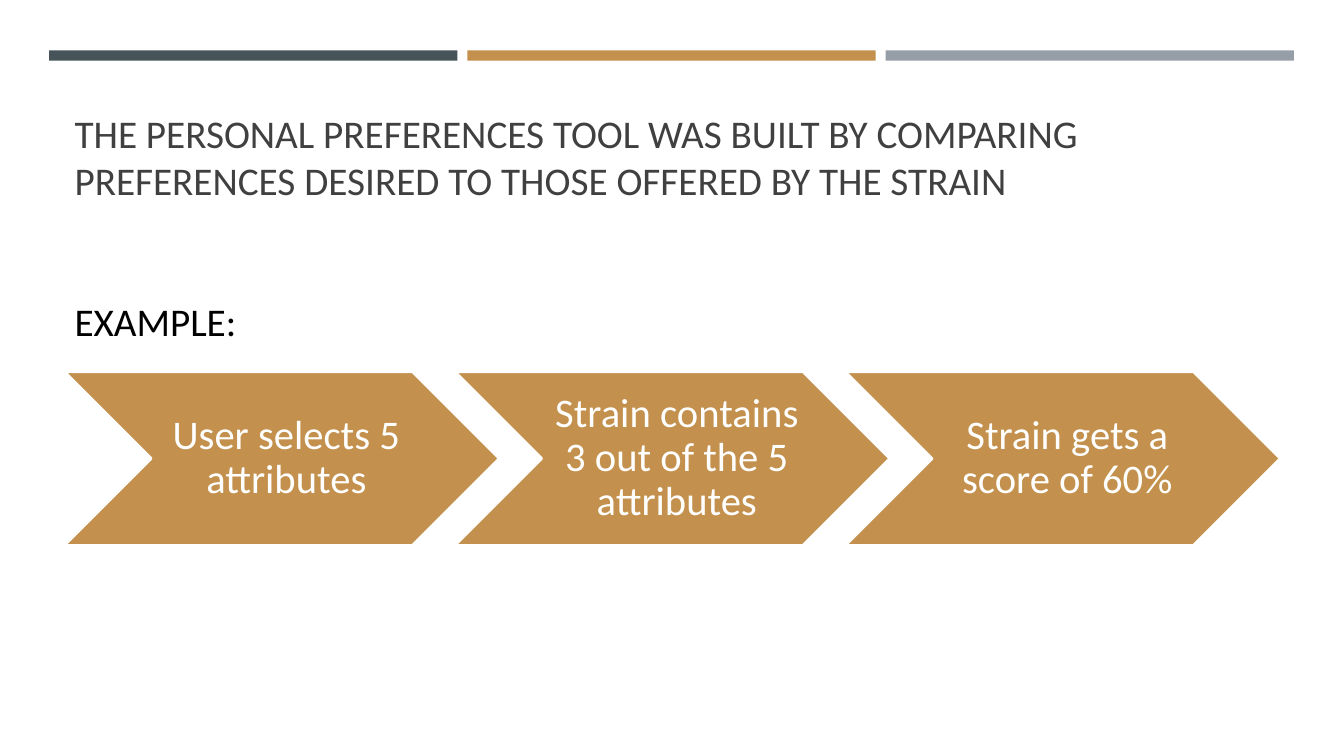
from dataclasses import dataclass

import pptx
import pptx.dml.color
import pptx.enum.shapes
import pptx.enum.text
import pptx.util

Cm = pptx.util.Cm
Pt = pptx.util.Pt
RGB = pptx.dml.color.RGBColor.from_string
Shape = pptx.enum.shapes.MSO_SHAPE
Anchor = pptx.enum.text.MSO_ANCHOR
Align = pptx.enum.text.PP_ALIGN


@dataclass(frozen=True)
class Theme:
    font: str = "Calibri"
    heading_size: int = 28
    step_size: int = 29
    slate: str = "465359"
    gold: str = "C3914D"
    gray: str = "969FA7"
    title: str = "404040"
    black: str = "000000"
    white: str = "FFFFFF"


theme = Theme()


def add_run(paragraph, text, size, color):
    run = paragraph.add_run()
    run.text = text
    run.font.name = theme.font
    run.font.size = Pt(size)
    run.font.color.rgb = RGB(color)


def add_filled_shape(kind, left, top, width, height, color):
    shape = slide.shapes.add_shape(kind, Cm(left), Cm(top), Cm(width), Cm(height))
    shape.shadow.inherit = False
    shape.fill.solid()
    shape.fill.fore_color.rgb = RGB(color)
    shape.line.fill.background()
    return shape


presentation = pptx.Presentation()
presentation.slide_width = Cm(33.87)
presentation.slide_height = Cm(19.05)
slide = presentation.slides.add_slide(presentation.slide_layouts[6])

# Three bars across the top
for index, color in enumerate((theme.slate, theme.gold, theme.gray)):
    add_filled_shape(Shape.RECTANGLE, 1.24 + index * 10.54, 1.27, 10.29, 0.26, color)

# Title and example heading
headings = (
    ("THE PERSONAL PREFERENCES TOOL WAS BUILT BY COMPARING PREFERENCES DESIRED "
     "TO THOSE OFFERED BY THE STRAIN", 1.96, 30.63, 3.3, Anchor.BOTTOM, theme.title),
    ("EXAMPLE:", 7.37, 12.04, 1.45, Anchor.TOP, theme.black),
)
for text, top, width, height, anchor, color in headings:
    heading = slide.shapes.add_textbox(Cm(1.63), Cm(top), Cm(width), Cm(height))
    frame = heading.text_frame
    frame.word_wrap = True
    frame.vertical_anchor = anchor
    add_run(frame.paragraphs[0], text, theme.heading_size, color)

# Chevron steps
steps = (
    "User selects 5 attributes",
    "Strain contains 3 out of the 5 attributes",
    "Strain gets a score of 60%",
)
for index, text in enumerate(steps):
    chevron = add_filled_shape(
        Shape.CHEVRON, 1.63 + index * 9.84, 9.37, 10.95, 4.37, theme.gold)
    chevron.line.color.rgb = RGB(theme.white)
    chevron.line.width = Pt(1.75)
    frame = chevron.text_frame
    frame.word_wrap = True
    frame.vertical_anchor = Anchor.MIDDLE
    frame.margin_left = Cm(0.33)
    frame.margin_top = frame.margin_right = frame.margin_bottom = Cm(0.1)
    paragraph = frame.paragraphs[0]
    paragraph.alignment = Align.CENTER
    paragraph.line_spacing = 0.9
    add_run(paragraph, text, theme.step_size, theme.white)

presentation.save("out.pptx")
